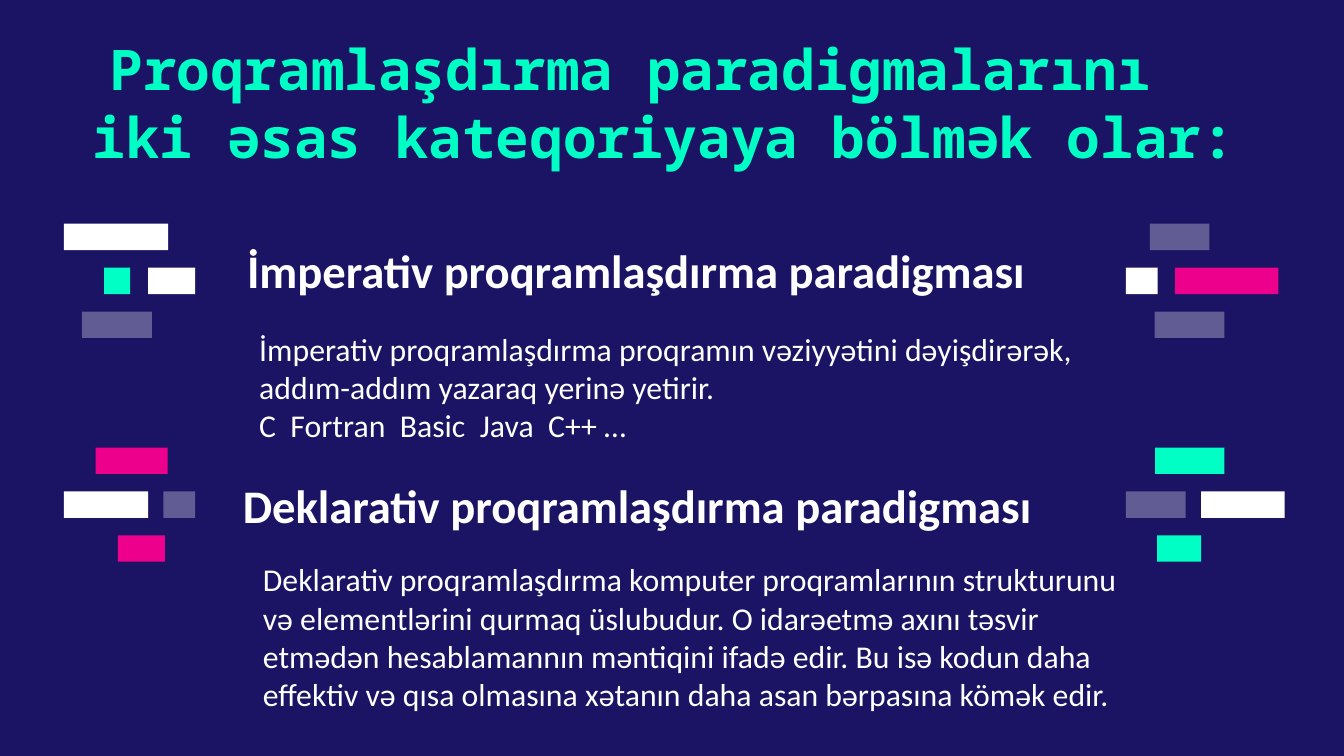
from lxml.etree import SubElement as add_element
from pptx import Presentation
from pptx.dml.color import RGBColor
from pptx.enum.shapes import MSO_SHAPE as Shape
from pptx.enum.text import MSO_ANCHOR as Anchor, PP_ALIGN as Align
from pptx.oxml.ns import qn
from pptx.util import Cm, Pt

NAVY, MINT, PINK, WHITE = "1B1464", "00FFC5", "EC008C", "FFFFFF"
FADED_ALPHA = 31  # percent
INSET = 0.25

# Text styles: font, size, colour, bold, alignment
STYLES = {
    "title": ("Noto Sans Mono", 30, MINT, True, Align.CENTER),
    "heading": ("Calibri", 25, WHITE, True, Align.LEFT),
    "body": ("Calibri", 17, WHITE, False, Align.LEFT),
}

# Texts: style, (left, top, width, height) in cm, paragraphs
TEXTS = [
    ("title", (0.61, 0.41, 23.88, 3.81),
     ["Proqramlaşdırma paradigmalarını   iki əsas kateqoriyaya bölmək olar:"]),
    ("heading", (4.42, 4.32, 15.6, 1.57), ["İmperativ proqramlaşdırma paradigması"]),
    ("heading", (4.34, 8.76, 15.85, 1.57), ["Deklarativ proqramlaşdırma paradigması"]),
    ("body", (4.65, 5.99, 16.87, 2.69),
     ["İmperativ proqramlaşdırma proqramın vəziyyətini dəyişdirərək, "
      "addım-addım yazaraq yerinə yetirir.",
      "C  Fortran  Basic  Java  C++ …"]),
    ("body", (4.72, 10.34, 17.02, 3.43),
     ["Deklarativ proqramlaşdırma komputer proqramlarının strukturunu və "
      "elementlərini qurmaq üslubudur. O idarəetmə axını təsvir etmədən "
      "hesablamannın məntiqini ifadə edir. Bu isə kodun daha effektiv və qısa "
      "olmasına xətanın daha asan bərpasına kömək edir."]),
]

# Bar clusters: top in cm, then rows of bars (left, width, colour, faded)
BAR_HEIGHT, ROW_PITCH = 0.5, 0.83
CLUSTERS = [
    (4.23, [[(1.21, 1.97, WHITE, False)],
            [(1.97, 0.49, MINT, False), (2.8, 0.89, WHITE, False)],
            [(1.55, 1.32, WHITE, True)]]),
    (4.23, [[(21.73, 1.13, WHITE, True)],
            [(21.28, 0.6, WHITE, False), (22.21, 1.95, PINK, False)],
            [(21.82, 1.32, WHITE, True)]]),
    (8.46, [[(1.81, 1.36, PINK, False)],
            [(1.21, 1.59, WHITE, False), (3.09, 0.6, WHITE, True)],
            [(2.23, 0.89, PINK, False)]]),
    (8.46, [[(21.83, 1.31, MINT, False)],
            [(21.28, 1.13, WHITE, True), (22.7, 1.58, WHITE, False)],
            [(21.87, 0.83, MINT, False)]]),
]


def paint(fill, color):
    fill.solid()
    fill.fore_color.rgb = RGBColor.from_string(color)


def add_bar(page, left, top, width, color, faded):
    bar = page.shapes.add_shape(
        Shape.RECTANGLE, Cm(left), Cm(top), Cm(width), Cm(BAR_HEIGHT))
    bar.shadow.inherit = False
    bar.line.fill.background()
    paint(bar.fill, color)
    if faded:
        tint = bar.fill._xPr.find(qn("a:solidFill"))[0]
        add_element(tint, qn("a:alpha"), val=str(FADED_ALPHA * 1000))


def add_text(page, style, place, paragraphs):
    font_name, size, color, bold, align = STYLES[style]
    box = page.shapes.add_textbox(*map(Cm, place))
    frame = box.text_frame
    frame.word_wrap = True
    frame.vertical_anchor = Anchor.TOP
    frame.margin_left = frame.margin_right = Cm(INSET)
    frame.margin_top = frame.margin_bottom = Cm(INSET)
    frame.text = "\n".join(paragraphs)
    for para in frame.paragraphs:
        para.alignment = align
        for span in para.runs:
            span.font.name, span.font.size, span.font.bold = font_name, Pt(size), bold
            paint(span.font.fill, color)


def main():
    deck = Presentation()
    deck.slide_width, deck.slide_height = Cm(25.4), Cm(14.29)
    page = deck.slides.add_slide(deck.slide_layouts[6])
    paint(page.background.fill, NAVY)

    # Decorative bars on both sides
    for cluster_top, rows in CLUSTERS:
        for index, row in enumerate(rows):
            for left, width, color, faded in row:
                add_bar(page, left, cluster_top + index * ROW_PITCH, width, color, faded)

    # Title, headings and descriptions
    for style, place, paragraphs in TEXTS:
        add_text(page, style, place, paragraphs)

    deck.save("out.pptx")


if __name__ == "__main__":
    main()
